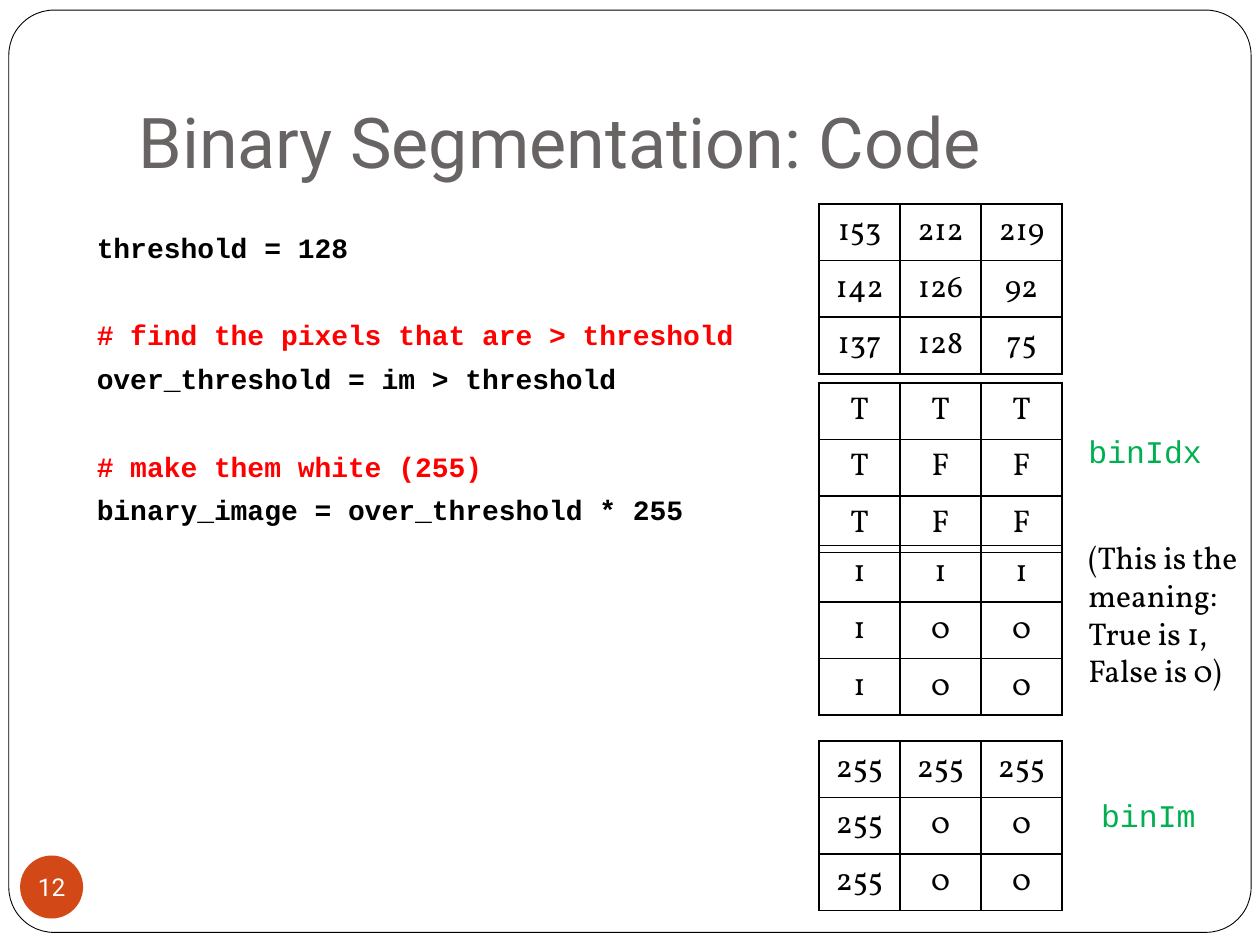
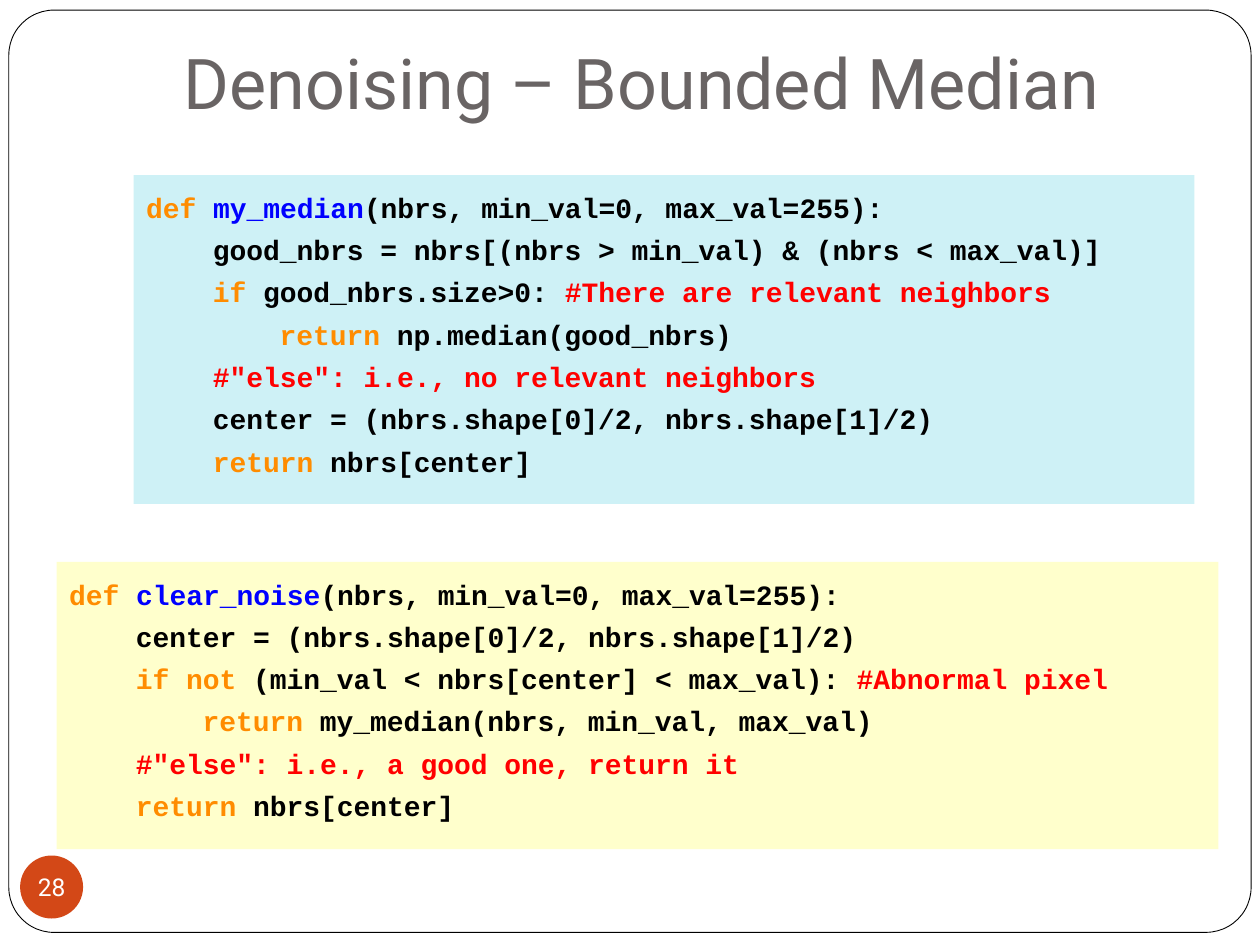
from pptx import Presentation
from pptx import util as u
from pptx.dml.color import RGBColor
from pptx.enum import shapes, text
from pptx.oxml import ns, xmlchemy

BLACK = RGBColor(0x00, 0x00, 0x00)
WHITE = RGBColor(0xFF, 0xFF, 0xFF)
TITLE_GRAY = RGBColor(0x69, 0x64, 0x64)
BADGE_ORANGE = RGBColor(0xD3, 0x48, 0x17)
COMMENT_RED = RGBColor(0xFF, 0x00, 0x00)
KEYWORD_ORANGE = RGBColor(0xFF, 0x8C, 0x00)
NAME_BLUE = RGBColor(0x00, 0x00, 0xFF)
LABEL_GREEN = RGBColor(0x00, 0xB0, 0x50)
PALE_CYAN = RGBColor(0xCE, 0xF1, 0xF6)
PALE_YELLOW = RGBColor(0xFF, 0xFF, 0xCC)

HEADING_FONT, CODE_FONT, TEXT_FONT = "Roboto", "Courier New", "Vollkorn"
CODE_INDENT = 0.53
TITLE_INSETS = (0.1, 0.05, 0.1, 0.1)
PANEL_INSETS = (0.1, 0.12, 0.1, 0.12)
LEFT, CENTER = text.PP_ALIGN.LEFT, text.PP_ALIGN.CENTER
TOP, MIDDLE, BOTTOM = text.MSO_ANCHOR.TOP, text.MSO_ANCHOR.MIDDLE, text.MSO_ANCHOR.BOTTOM


def box_lengths(box):
    return [u.Inches(value) for value in box]


def place(shape, box):
    shape.left, shape.top, shape.width, shape.height = box_lengths(box)


def set_frame(frame, insets=(0.1, 0.05, 0.1, 0.05), anchor=TOP, wrap=True):
    frame.auto_size = text.MSO_AUTO_SIZE.NONE
    frame.word_wrap = wrap
    frame.vertical_anchor = anchor
    (frame.margin_left, frame.margin_top,
     frame.margin_right, frame.margin_bottom) = box_lengths(insets)


def write_paragraph(paragraph, runs, font=CODE_FONT, size=16, color=BLACK,
                    bold=False, align=LEFT, before=0, indent=0):
    paragraph.alignment = align
    paragraph.space_before = u.Pt(before)
    properties = paragraph._p.get_or_add_pPr()
    properties.set("marL", str(u.Inches(indent)))
    properties.set("indent", "0")
    xmlchemy.OxmlElement("a:buNone")
    properties.append(xmlchemy.OxmlElement("a:buNone"))
    for content, run_color in [(runs, color)] if isinstance(runs, str) else runs:
        run = paragraph.add_run()
        run.text = content
        run.font.name, run.font.size, run.font.bold = font, u.Pt(size), bold
        run.font.color.rgb = run_color


def next_paragraph(frame, index):
    return frame.add_paragraph() if index else frame.paragraphs[0]


def add_preset(slide, preset, box, fill, line=None):
    shape = slide.shapes.add_shape(preset, *box_lengths(box))
    shape.shadow.inherit = False
    shape.fill.solid()
    shape.fill.fore_color.rgb = fill
    if line is None:
        shape.line.fill.background()
    else:
        shape.line.color.rgb = line
        shape.line.width = u.Pt(0.5)
    return shape


def add_master_frame(presentation, slide):
    frame = add_preset(slide, shapes.MSO_SHAPE.ROUNDED_RECTANGLE,
                       (0.07, 0.08, 9.86, 7.32), WHITE, BLACK)
    frame.adjustments[0] = 0.049
    presentation.slide_master.shapes.element.insert(2, frame.element)


def add_heading(slide, box, title, number, left_inset=0.1):
    place(slide.shapes.title, box)
    frame = slide.shapes.title.text_frame
    set_frame(frame, (left_inset,) + TITLE_INSETS[1:], BOTTOM)
    write_paragraph(frame.paragraphs[0], title, font=HEADING_FONT, size=40, color=TITLE_GRAY)
    badge = add_preset(slide, shapes.MSO_SHAPE.OVAL, (0.16, 6.79, 0.5, 0.5), BADGE_ORANGE)
    set_frame(badge.text_frame, (0, 0, 0, 0), MIDDLE, wrap=False)
    write_paragraph(badge.text_frame.paragraphs[0], str(number), font=HEADING_FONT,
                    size=14, color=WHITE, align=CENTER)


def add_label(slide, box, lines, **style):
    label = slide.shapes.add_textbox(*box_lengths(box))
    set_frame(label.text_frame)
    for index, line in enumerate(lines):
        write_paragraph(next_paragraph(label.text_frame, index), line, size=18, **style)


def add_script(slide, box, lines):
    script = slide.shapes.add_textbox(*box_lengths(box))
    set_frame(script.text_frame)
    for index, (line, color, before) in enumerate(lines):
        write_paragraph(next_paragraph(script.text_frame, index), line,
                        color=color, bold=True, before=before)


def fill_code_panel(shape, lines):
    set_frame(shape.text_frame, PANEL_INSETS)
    for index, (level, runs) in enumerate(lines):
        write_paragraph(next_paragraph(shape.text_frame, index), runs, bold=True,
                        before=5, indent=level * CODE_INDENT)


def border_cell(cell):
    properties = cell._tc.get_or_add_tcPr()
    for side in ("lnL", "lnR", "lnT", "lnB"):
        line = xmlchemy.OxmlElement("a:" + side)
        line.set("w", str(u.Pt(1)))
        fill = xmlchemy.OxmlElement("a:solidFill")
        color = xmlchemy.OxmlElement("a:srgbClr")
        color.set("val", str(BLACK))
        fill.append(color)
        line.append(fill)
        properties.append(line)


def add_matrix(slide, left, top, rows, cell_width=0.643, cell_height=0.39):
    box = (left, top, cell_width * len(rows[0]), cell_height * len(rows))
    table = slide.shapes.add_table(len(rows), len(rows[0]), *box_lengths(box)).table
    table.first_row = table.horz_banding = False
    for row, values in enumerate(rows):
        for column, value in enumerate(values):
            cell = table.cell(row, column)
            border_cell(cell)
            cell.fill.background()
            cell.vertical_anchor = MIDDLE
            write_paragraph(cell.text_frame.paragraphs[0], value, font=TEXT_FONT,
                            size=18, align=CENTER)


def build_segmentation(slide):
    add_heading(slide, (1, 0.3, 8.5, 1.25), "Binary Segmentation: Code", 12)
    step, after_gap = 5.8, 30.8
    add_script(slide, (0.67, 1.78, 5.43, 3.15), [
        ("threshold = 128", BLACK, step),
        ("# find the pixels that are > threshold", COMMENT_RED, after_gap),
        ("over_threshold = im > threshold", BLACK, step),
        ("# make them white (255)", COMMENT_RED, after_gap),
        ("binary_image = over_threshold * 255", BLACK, step),
    ])
    pixels = [[153, 212, 219], [142, 126, 92], [137, 128, 75]]
    for top, show in (
        (1.62, str),
        (3.04, lambda pixel: "T" if pixel > 128 else "F"),
        (4.33, lambda pixel: str(int(pixel > 128))),
        (5.88, lambda pixel: str(255 * (pixel > 128))),
    ):
        add_matrix(slide, 6.5, top, [[show(pixel) for pixel in row] for row in pixels])
    add_label(slide, (8.54, 3.38, 1.26, 0.4), ["binIdx"], color=LABEL_GREEN)
    add_label(slide, (8.54, 4.22, 1.46, 1.31),
              ["(This is the meaning: True is 1,", "False is 0)"], font=TEXT_FONT)
    add_label(slide, (8.64, 6.27, 1.11, 0.4), ["binIm"], color=LABEL_GREEN)


def build_denoising(slide):
    add_heading(slide, (1.22, 0.21, 8.5, 0.87), "Denoising – Bounded Median", 28,
                left_inset=0.24)

    def signature(name):
        return 0, [("def ", KEYWORD_ORANGE), (name, NAME_BLUE),
                   ("(nbrs, min_val=0, max_val=255):", BLACK)]

    def returned(level, value):
        return level, [("return ", KEYWORD_ORANGE), (value, BLACK)]

    center = (1, [("center = (nbrs.shape[0]/2, nbrs.shape[1]/2)", BLACK)])
    median_panel = slide.placeholders[1]
    place(median_panel, (1.06, 1.39, 8.42, 2.61))
    median_panel.fill.solid()
    median_panel.fill.fore_color.rgb = PALE_CYAN
    fill_code_panel(median_panel, [
        signature("my_median"),
        (1, [("good_nbrs = nbrs[(nbrs > min_val) & (nbrs < max_val)]", BLACK)]),
        (1, [("if ", KEYWORD_ORANGE), ("good_nbrs.size>0: ", BLACK),
             ("#There are relevant neighbors", COMMENT_RED)]),
        returned(2, "np.median(good_nbrs)"),
        (1, [('#"else": i.e., no relevant neighbors', COMMENT_RED)]),
        center,
        returned(1, "nbrs[center]"),
    ])
    noise_panel = add_preset(slide, shapes.MSO_SHAPE.RECTANGLE,
                             (0.45, 4.46, 9.22, 2.28), PALE_YELLOW)
    fill_code_panel(noise_panel, [
        signature("clear_noise"),
        center,
        (1, [("if not", KEYWORD_ORANGE), (" (min_val < nbrs[center] < max_val): ", BLACK),
             ("#Abnormal pixel", COMMENT_RED)]),
        returned(2, "my_median(nbrs, min_val, max_val)"),
        (1, [('#"else": i.e., a good one, return it', COMMENT_RED)]),
        returned(1, "nbrs[center]"),
    ])


presentation = Presentation()
presentation.slide_width, presentation.slide_height = u.Inches(10), u.Inches(7.5)
segmentation = presentation.slides.add_slide(presentation.slide_layouts[5])
denoising = presentation.slides.add_slide(presentation.slide_layouts[1])
add_master_frame(presentation, segmentation)
build_segmentation(segmentation)
build_denoising(denoising)
presentation.save("out.pptx")
